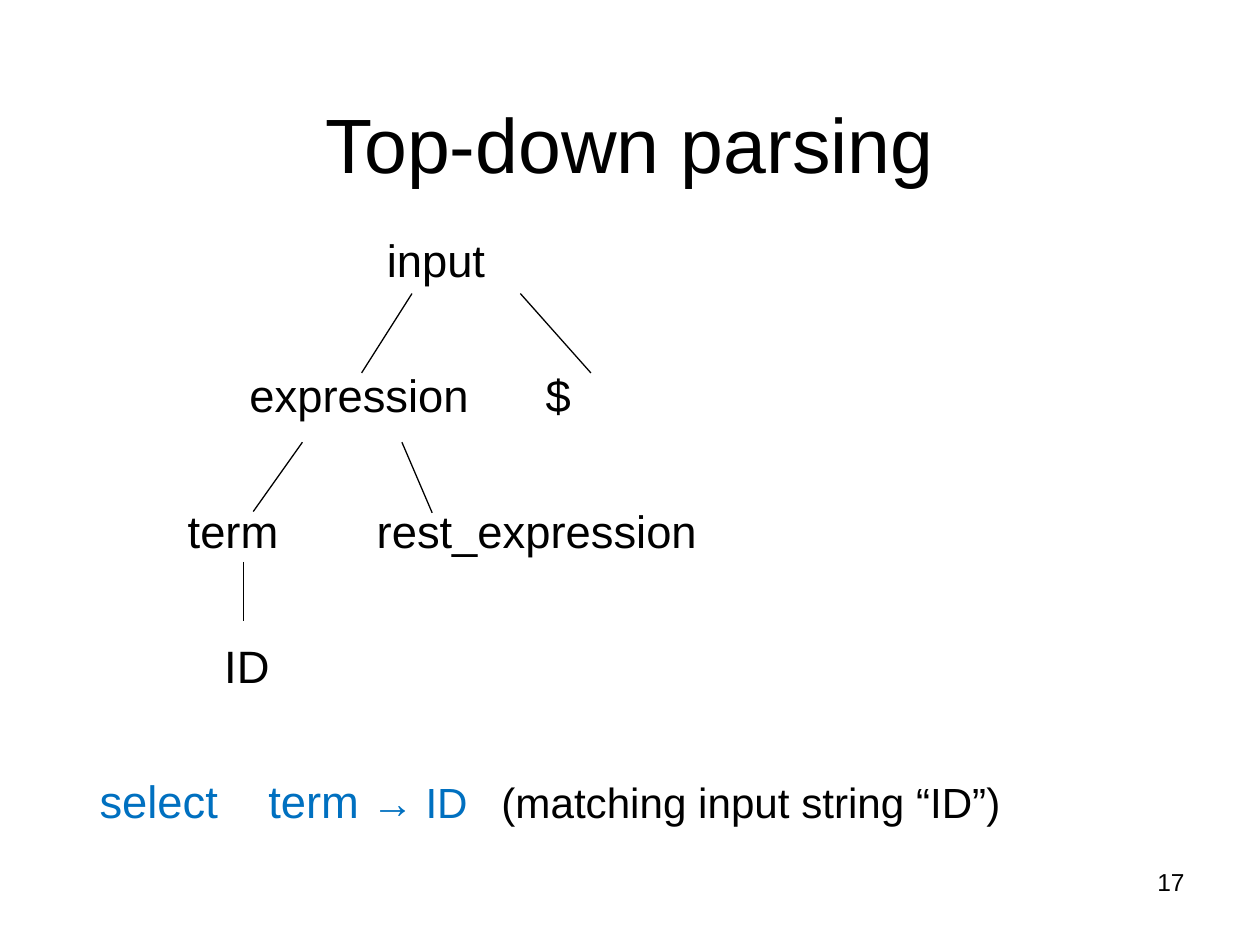
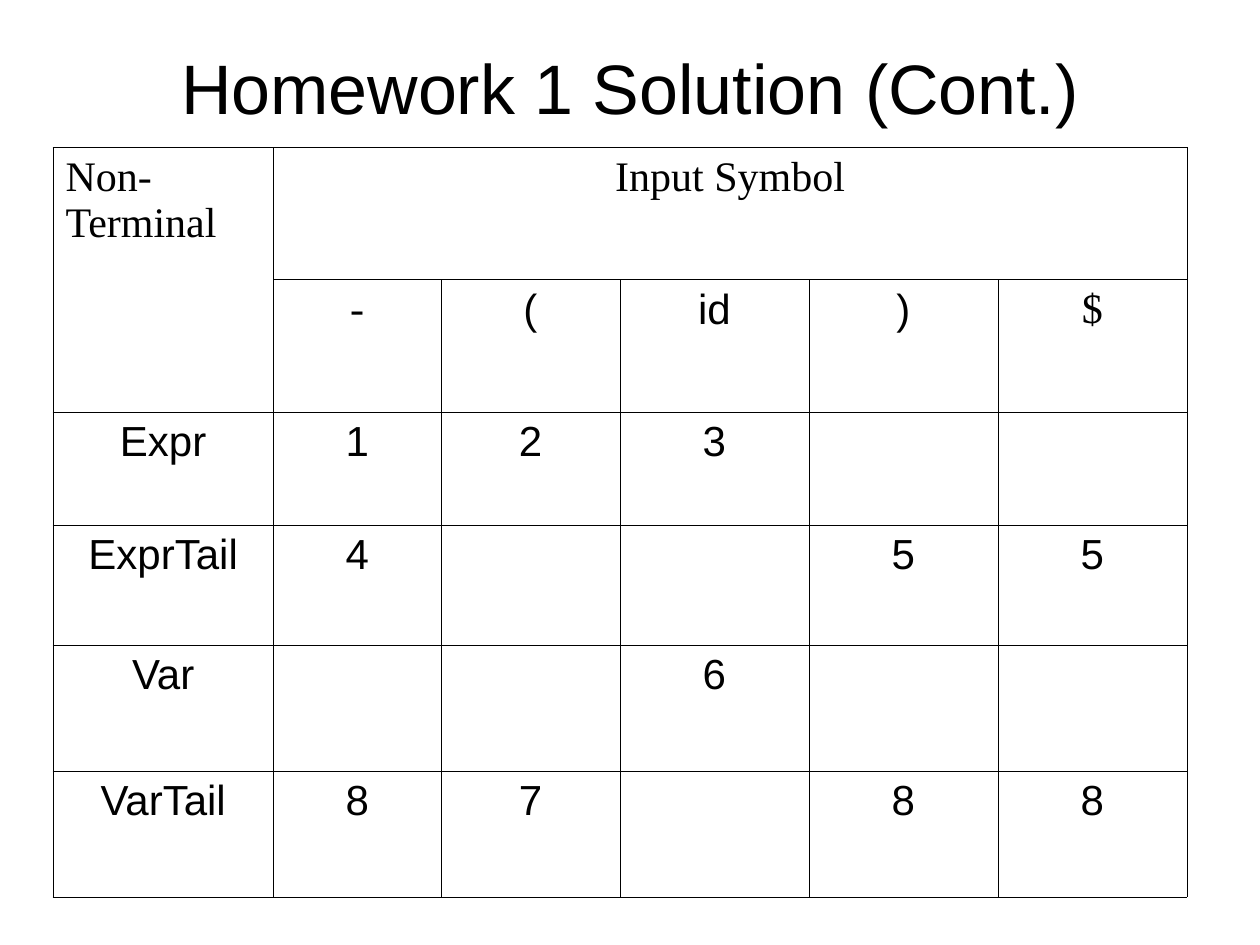
import pptx
import pptx.util
import pptx.dml.color
import pptx.enum.shapes
import pptx.enum.text
import pptx.oxml
import pptx.oxml.ns
import lxml.etree

Inches = pptx.util.Inches
Pt = pptx.util.Pt
Align = pptx.enum.text.PP_ALIGN
Anchor = pptx.enum.text.MSO_ANCHOR

BLACK = pptx.dml.color.RGBColor(0x00, 0x00, 0x00)
BLUE = pptx.dml.color.RGBColor(0x00, 0x70, 0xC0)
SANS = "Arial"
SERIF = "Times New Roman"


def add_child(parent, tag, **attributes):
    child = lxml.etree.SubElement(parent, pptx.oxml.ns.qn(tag))
    for name, value in attributes.items():
        child.set(name, str(value))
    return child


class Page:
    """Holds the shared style and the slide being filled."""

    TEXT = {"name": SANS, "size": Pt(24), "color": BLACK}
    MARGINS = {"margin_left": 0.1, "margin_top": 0.05,
               "margin_right": 0.1, "margin_bottom": 0.05}

    def __init__(self, deck):
        self.slide = deck.slides.add_slide(deck.slide_layouts[6])

    def span(self, para, words, **changes):
        span = para.add_run()
        span.text = words
        for name, value in {**self.TEXT, **changes}.items():
            if name == "color":
                span.font.color.rgb = value
            else:
                setattr(span.font, name, value)

    def box(self, left, top, width, height, anchor=Anchor.TOP, **margins):
        box = self.slide.shapes.add_textbox(
            Inches(left), Inches(top), Inches(width), Inches(height))
        frame = box.text_frame
        frame.word_wrap = True
        frame.vertical_anchor = anchor
        for name, value in {**self.MARGINS, **margins}.items():
            setattr(frame, name, Inches(value))
        return frame

    def title(self, words, height, size, anchor):
        para = self.box(0.5, 0.3, 9, height, anchor).paragraphs[0]
        para.alignment = Align.CENTER
        self.span(para, words, size=Pt(size))

    def number(self, value):
        para = self.box(7.17, 6.83, 2.33, 0.52).paragraphs[0]
        para.alignment = Align.RIGHT
        self.span(para, str(value), size=Pt(14))

    def tabbed_line(self, para, stops, spans):
        """Write spans whose tab characters jump to the given stops."""
        tabs = add_child(para._p.get_or_add_pPr(), "a:tabLst")
        for stop in stops:
            add_child(tabs, "a:tab", pos=Inches(stop), algn="l")
        for words, changes in spans:
            self.span(para, words, **changes)

    def branch(self, start, end):
        line = self.slide.shapes.add_connector(
            pptx.enum.shapes.MSO_CONNECTOR.STRAIGHT,
            *(Inches(length) for length in start + end))
        line.line.color.rgb = BLACK
        line.line.width = Pt(0.75)
        add_child(line._element.spPr, "a:effectLst")

    def cell(self, cell, words, font, alignment):
        for index, line in enumerate(words.split("\n") if words else []):
            frame = cell.text_frame
            para = frame.add_paragraph() if index else frame.paragraphs[0]
            para.alignment = alignment
            self.span(para, line, name=font)
        properties = cell._tc.get_or_add_tcPr()
        for side in ("a:lnL", "a:lnR", "a:lnT", "a:lnB"):
            border = add_child(properties, side, w=Pt(0.45))
            add_child(add_child(border, "a:solidFill"), "a:srgbClr", val=BLACK)
        cell.fill.background()

    def table(self, left, top, widths, heights, rows, merges, serif, left_aligned):
        table = self.slide.shapes.add_table(
            len(heights), len(widths), Inches(left), Inches(top),
            Inches(sum(widths)), Inches(sum(heights))).table
        table.first_row = table.horz_banding = False
        for column, width in zip(table.columns, widths):
            column.width = Inches(width)
        for row, height in zip(table.rows, heights):
            row.height = Inches(height)
        for start, end in merges:
            table.cell(*start).merge(table.cell(*end))
        for r, row in enumerate(rows):
            for c, words in enumerate(row):
                self.cell(table.cell(r, c), words,
                          SERIF if (r, c) in serif else SANS,
                          Align.LEFT if (r, c) in left_aligned else Align.CENTER)


def parse_tree(deck):
    page = Page(deck)
    page.number(17)
    page.title("Top-down parsing", 1.25, 44, Anchor.BOTTOM)

    # Tree levels, then the production that was chosen
    node = {"size": Pt(25.9)}
    chosen = {**node, "color": BLUE}
    smaller = {"size": Pt(24.1)}
    levels = [
        ([2.57], [("\tinput", node)]),
        ([1.48, 3.83], [("\texpression\t$", node)]),
        ([0.99, 2.49], [("\tterm\trest_expression", node)]),
        ([1.28], [("\tID", node)]),
        ([0.29, 1.63, 3.48], [("\tselect\tterm ", chosen),
                              ("→ ID\t", {**chosen, **smaller}),
                              ("(matching input string “ID”)", smaller)]),
    ]
    frame = page.box(0.5, 1.75, 9, 4.95, margin_left=0, margin_top=0.09)
    for depth, (stops, spans) in enumerate(levels):
        para = frame.add_paragraph() if depth else frame.paragraphs[0]
        para.space_before = Pt(46.3 if depth else 0)
        page.tabbed_line(para, stops, spans)

    # Branches between the levels
    for start, end in [((3.27, 2.33), (2.87, 2.96)),
                       ((4.13, 2.33), (4.69, 2.96)),
                       ((2.4, 3.51), (2.01, 4.06)),
                       ((3.19, 3.51), (3.43, 4.07)),
                       ((1.93, 4.46), (1.93, 4.93))]:
        page.branch(start, end)


def parse_table(deck):
    page = Page(deck)
    page.title("Homework 1 Solution (Cont.)", 0.78, 40, Anchor.MIDDLE)
    page.table(
        0.42, 1.17,
        widths=[1.75, 1.33, 1.42, 1.5, 1.5, 1.5],
        heights=[1.05, 1.05, 0.9, 0.95, 1, 1],
        rows=[["Non-\nTerminal", "Input Symbol", "", "", "", ""],
              ["", "-", "(", "id", ")", "$"],
              ["Expr", "1", "2", "3", "", ""],
              ["ExprTail", "4", "", "", "5", "5"],
              ["Var", "", "", "6", "", ""],
              ["VarTail", "8", "7", "", "8", "8"]],
        merges=[((0, 0), (1, 0)), ((0, 1), (0, 5))],
        serif={(0, 0), (0, 1), (1, 1), (1, 5)},
        left_aligned={(0, 0)})


def main():
    deck = pptx.Presentation()
    deck.slide_width, deck.slide_height = Inches(10), Inches(7.5)
    parse_tree(deck)
    parse_table(deck)
    deck.save("out.pptx")


if __name__ == "__main__":
    main()
